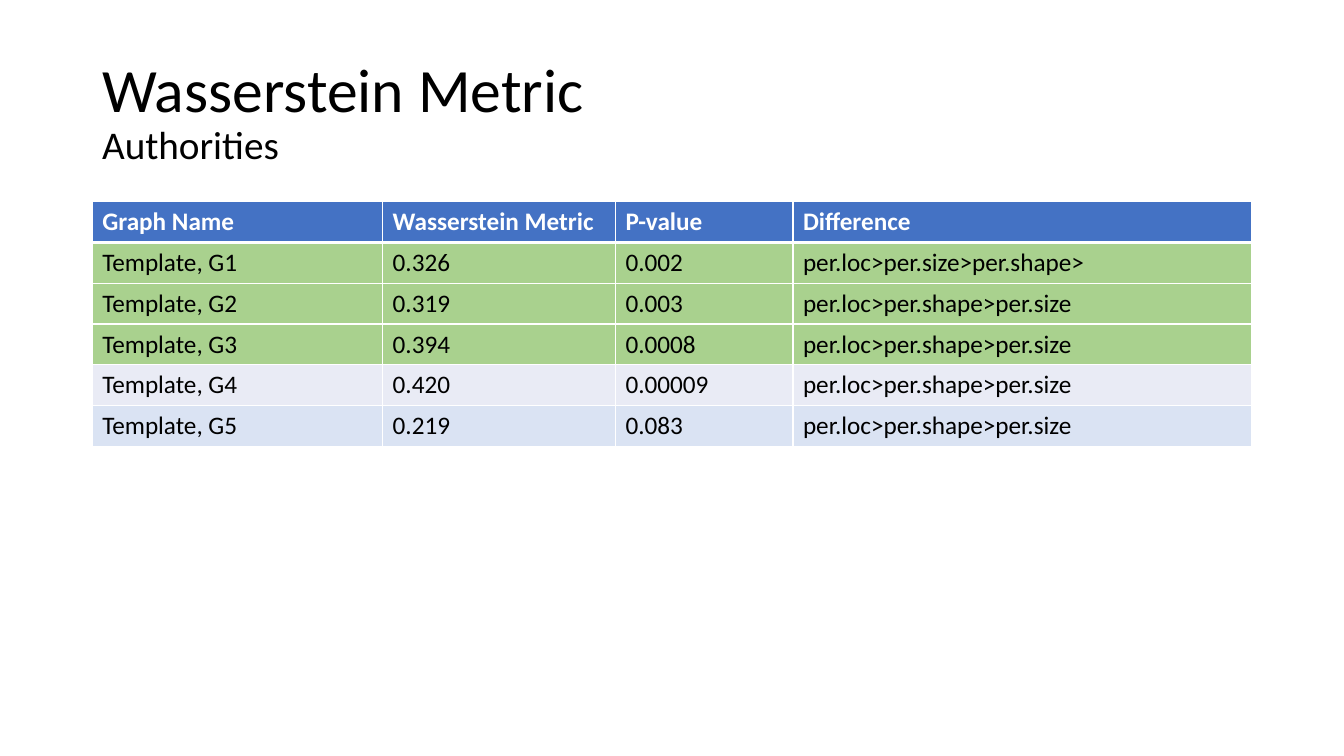
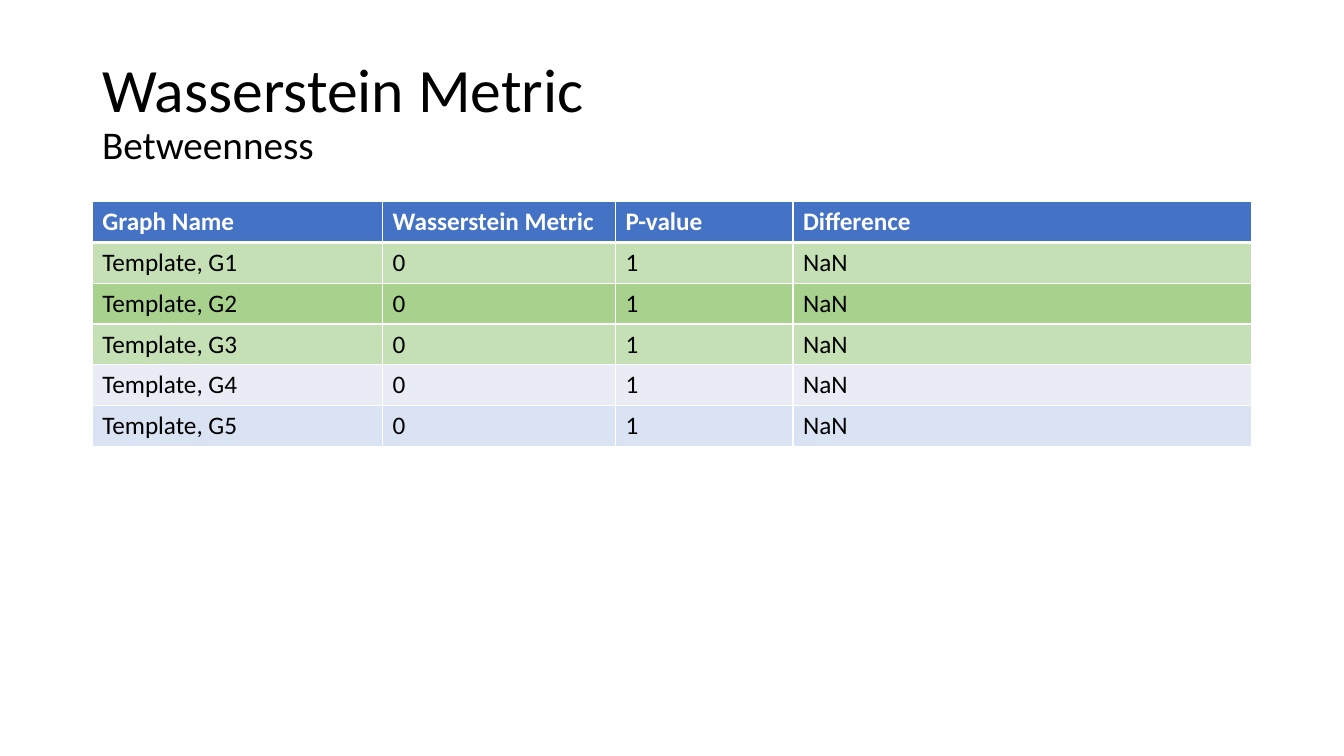
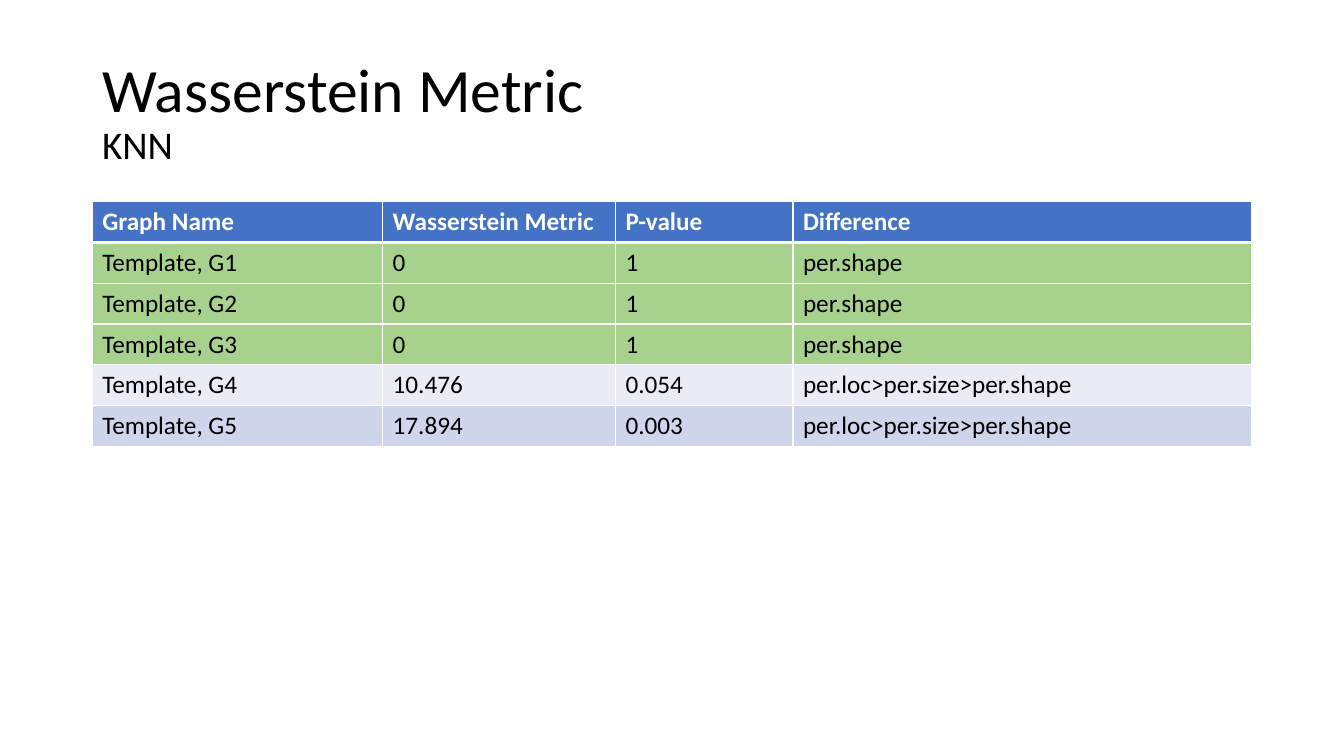
from dataclasses import dataclass

from lxml.etree import SubElement
from pptx import Presentation
from pptx.dml.color import RGBColor
from pptx.enum.text import MSO_ANCHOR
from pptx.oxml.ns import qn
from pptx.util import Inches, Pt


@dataclass(frozen=True)
class Theme:
    font: str = "Calibri"
    title_size: int = 44
    subtitle_size: int = 28
    table_size: int = 18
    text: str = "000000"
    white: str = "FFFFFF"
    header: str = "4472C4"
    green: str = "A9D18E"
    light_green: str = "C5E0B4"
    pale_grey: str = "E9EBF5"
    pale_blue: str = "DAE3F3"
    band_blue: str = "CFD5EA"
    thin_border: int = 1
    thick_border: int = 3


THEME = Theme()
SLIDE_WIDTH, SLIDE_HEIGHT = 13.33, 7.5
WIDTH = 11.5
LEFT = (SLIDE_WIDTH - WIDTH) / 2
TITLE_TOP, TITLE_HEIGHT = 0.4, 1.45
TABLE_TOP, TABLE_HEIGHT = 2, 2.43
COLUMN_WIDTHS = (2.88, 2.31, 1.76, 4.55)

TITLE = "Wasserstein Metric"
HEADINGS = ("Graph Name", "Wasserstein Metric", "P-value", "Difference")
LOC_SHAPE_SIZE = "per.loc>per.shape>per.size"
LOC_SIZE_SHAPE = "per.loc>per.size>per.shape"

# Subtitle, fill of each graph row, then (metric, p-value, difference) of each graph
RESULTS = (
    (
        "Authorities",
        (THEME.green,) * 3 + (THEME.pale_grey, THEME.pale_blue),
        (
            ("0.326", "0.002", LOC_SIZE_SHAPE + ">"),
            ("0.319", "0.003", LOC_SHAPE_SIZE),
            ("0.394", "0.0008", LOC_SHAPE_SIZE),
            ("0.420", "0.00009", LOC_SHAPE_SIZE),
            ("0.219", "0.083", LOC_SHAPE_SIZE),
        ),
    ),
    (
        "Betweenness",
        (THEME.light_green, THEME.green, THEME.light_green, THEME.pale_grey, THEME.pale_blue),
        (("0", "1", "NaN"),) * 5,
    ),
    (
        "KNN",
        (THEME.green,) * 3 + (THEME.pale_grey, THEME.band_blue),
        (("0", "1", "per.shape"),) * 3
        + (("10.476", "0.054", LOC_SIZE_SHAPE), ("17.894", "0.003", LOC_SIZE_SHAPE)),
    ),
)


class Deck:
    def __init__(self, theme):
        self.theme = theme
        self.presentation = Presentation()
        self.presentation.slide_width = Inches(SLIDE_WIDTH)
        self.presentation.slide_height = Inches(SLIDE_HEIGHT)
        self.slide = None

    def add_slide(self):
        self.slide = self.presentation.slides.add_slide(self.presentation.slide_layouts[6])

    def add_run(self, paragraph, text, size, color, bold=False):
        run = paragraph.add_run()
        run.text = text
        formats = {"name": self.theme.font, "size": Pt(size), "bold": bold}
        for name, value in formats.items():
            setattr(run.font, name, value)
        run.font.color.rgb = RGBColor.from_string(color)

    def add_title(self, title, subtitle):
        shape = self.slide.shapes.add_textbox(
            Inches(LEFT), Inches(TITLE_TOP), Inches(WIDTH), Inches(TITLE_HEIGHT)
        )
        frame = shape.text_frame
        frame.word_wrap = True
        frame.vertical_anchor = MSO_ANCHOR.MIDDLE
        paragraph = frame.paragraphs[0]
        paragraph.line_spacing = 0.9
        self.add_run(paragraph, title, self.theme.title_size, self.theme.text)
        paragraph.add_line_break()
        self.add_run(paragraph, subtitle, self.theme.subtitle_size, self.theme.text)

    def add_table(self, rows, fills):
        """Draw a table whose first row is the header; fills has one colour per row."""
        theme = self.theme
        shape = self.slide.shapes.add_table(
            len(rows), len(COLUMN_WIDTHS), Inches(LEFT), Inches(TABLE_TOP),
            Inches(WIDTH), Inches(TABLE_HEIGHT),
        )
        table = shape.table
        for column, width in zip(table.columns, COLUMN_WIDTHS):
            column.width = Inches(width)
        for row_index, (values, fill) in enumerate(zip(rows, fills)):
            is_header = row_index == 0
            table.rows[row_index].height = Inches(TABLE_HEIGHT / len(rows))
            for column_index, value in enumerate(values):
                cell = table.cell(row_index, column_index)
                self.add_run(
                    cell.text_frame.paragraphs[0], value, theme.table_size,
                    theme.white if is_header else theme.text, is_header,
                )
                self.set_borders(
                    cell,
                    top=theme.thick_border if row_index == 1 else theme.thin_border,
                    bottom=theme.thick_border if is_header else theme.thin_border,
                )
                cell.fill.solid()
                cell.fill.fore_color.rgb = RGBColor.from_string(fill)

    def set_borders(self, cell, top, bottom):
        properties = cell._tc.get_or_add_tcPr()
        thin = self.theme.thin_border
        for side, width in (("L", thin), ("R", thin), ("T", top), ("B", bottom)):
            line = SubElement(properties, qn(f"a:ln{side}"), w=str(Pt(width)))
            fill = SubElement(line, qn("a:solidFill"))
            SubElement(fill, qn("a:srgbClr"), val=self.theme.white)


def main():
    deck = Deck(THEME)
    for subtitle, fills, results in RESULTS:
        deck.add_slide()
        deck.add_title(TITLE, subtitle)
        graphs = [(f"Template, G{number}", *result) for number, result in enumerate(results, 1)]
        deck.add_table([HEADINGS, *graphs], (THEME.header, *fills))
    deck.presentation.save("out.pptx")


if __name__ == "__main__":
    main()
